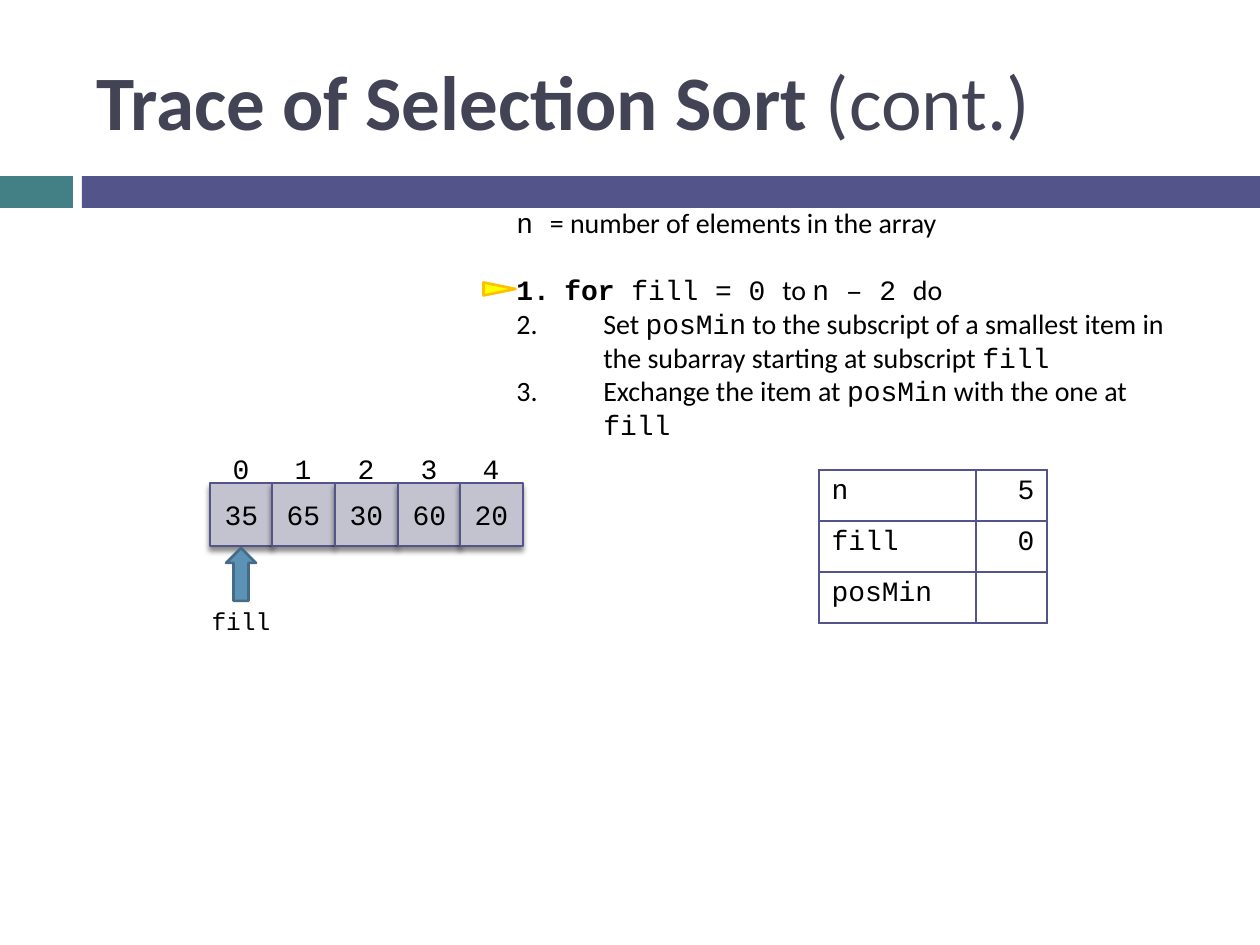
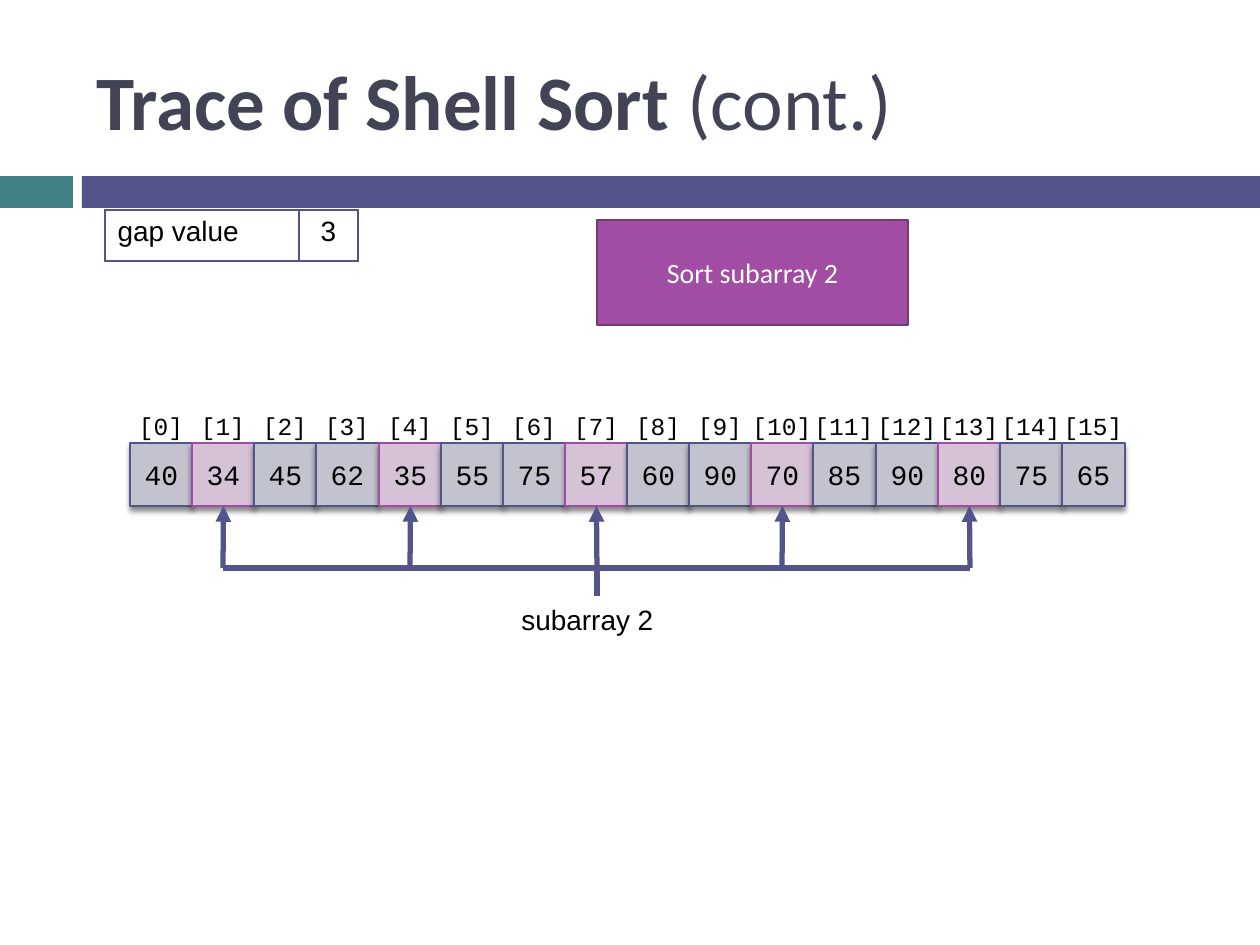
from lxml.etree import SubElement
from pptx import Presentation
from pptx.dml.color import RGBColor
from pptx.enum.shapes import MSO_CONNECTOR, MSO_SHAPE
from pptx.enum.text import MSO_ANCHOR, PP_ALIGN
from pptx.oxml.ns import qn
from pptx.util import Pt

EMU_PER_PX = 914400 / 126
SLIDE_SIZE = (1260, 945)

BLACK, WHITE = "000000", "FFFFFF"
INDIGO, TEAL, TITLE_INK = "53548A", "438086", "424456"
PURPLE, DARK_PURPLE = "A04DA3", "763979"
CELL_GREY, CELL_PINK = "C3C3CF", "D6C2D7"
BLUE, DARK_BLUE = "5C92B5", "446C86"
YELLOW, AMBER = "FFFF00", "FFC000"

BODY, CODE, PLAIN = "Calibri", "Courier New", "Arial"
CELL_SIZE = 63
LABEL_WIDTH, LABEL_RISE = 100, 38


def px(length):
    return round(length * EMU_PER_PX)


def box_emu(box):
    return [px(length) for length in box]


def color(hex_value):
    return RGBColor.from_string(hex_value)


# Text
def write(paragraph, runs, ink=BLACK, size=16, align=PP_ALIGN.LEFT):
    """Add runs given as (text, font name) or (text, font name, bold)."""
    paragraph.alignment = align
    for text, name, *bold in runs:
        run = paragraph.add_run()
        run.text = text
        formats = {"name": name, "size": Pt(size), "bold": bool(bold and bold[0])}
        for attribute, value in formats.items():
            setattr(run.font, attribute, value)
        run.font.color.rgb = color(ink)


def add_text(slide, box, runs, anchor=MSO_ANCHOR.TOP, **style):
    frame = slide.shapes.add_textbox(*box_emu(box)).text_frame
    frame.word_wrap = True
    frame.vertical_anchor = anchor
    write(frame.paragraphs[0], runs, **style)
    return frame


def number_paragraph(paragraph, indent):
    properties = paragraph._p.get_or_add_pPr()
    properties.set("marL", str(px(indent)))
    properties.set("indent", str(-px(indent)))
    SubElement(properties, qn("a:buFont"), typeface="+mj-lt")
    SubElement(properties, qn("a:buAutoNum"), type="arabicPeriod")


# Shapes and lines
def add_shape(slide, kind, box, fill, line=None, line_width=1.5):
    shape = slide.shapes.add_shape(kind, *box_emu(box))
    shape.fill.solid()
    shape.fill.fore_color.rgb = color(fill)
    if line:
        shape.line.color.rgb = color(line)
        shape.line.width = Pt(line_width)
    else:
        shape.line.fill.background()
    shape.shadow.inherit = False
    return shape


def add_label_in(shape, text, font, ink):
    frame = shape.text_frame
    frame.word_wrap = True
    frame.vertical_anchor = MSO_ANCHOR.MIDDLE
    write(frame.paragraphs[0], [(text, font)], ink=ink, align=PP_ALIGN.CENTER)


def add_drop_shadow(shape):
    effects = shape._element.spPr.find(qn("a:effectLst"))
    shadow = SubElement(effects, qn("a:outerShdw"), blurRad=str(Pt(3)),
                        dist=str(Pt(2.4)), dir="5400000", rotWithShape="0")
    ink = SubElement(shadow, qn("a:srgbClr"), val=BLACK)
    SubElement(ink, qn("a:alpha"), val="45000")


def add_line(slide, start, end, target=None):
    """Draw a line; with a target shape, point an arrow at its bottom."""
    connector = slide.shapes.add_connector(
        MSO_CONNECTOR.STRAIGHT, *box_emu(start + end))
    connector.line.color.rgb = color(INDIGO)
    connector.line.width = Pt(3)
    if target is not None:
        connector.end_connect(target, 2)
        SubElement(connector.line._get_or_add_ln(), qn("a:tailEnd"), type="triangle")
    SubElement(connector._element.spPr, qn("a:effectLst"))


# Table
def outline_cell(cell):
    properties = cell._tc.get_or_add_tcPr()
    for side in ("lnL", "lnR", "lnT", "lnB"):
        line = SubElement(properties, qn("a:" + side), w=str(Pt(1)))
        fill = SubElement(line, qn("a:solidFill"))
        SubElement(fill, qn("a:srgbClr"), val=INDIGO)
    cell.fill.background()


def add_variable_table(slide, left, top, rows, widths, font, value_align):
    row_height = 51
    box = (left, top, sum(widths), row_height * len(rows))
    table = slide.shapes.add_table(len(rows), len(widths), *box_emu(box)).table
    table.first_row = table.horz_banding = False
    for column, width in zip(table.columns, widths):
        column.width = px(width)
    for row_index, row in enumerate(rows):
        table.rows[row_index].height = px(row_height)
        for column_index, (text, align) in enumerate(
                zip(row, (PP_ALIGN.LEFT, value_align))):
            cell = table.cell(row_index, column_index)
            outline_cell(cell)
            if text:
                write(cell.text_frame.paragraphs[0], [(text, font)], align=align)


# Array of square cells with subscripts above, spread over the given width
def add_array(slide, left, top, width, values, label_format, label_size,
              highlighted=()):
    step = (width - CELL_SIZE) / (len(values) - 1)
    cells = []
    for index, value in enumerate(values):
        fill, line = (CELL_PINK, PURPLE) if index in highlighted else (CELL_GREY, INDIGO)
        cell_left = left + round(index * step)
        cell = add_shape(slide, MSO_SHAPE.RECTANGLE,
                         (cell_left, top, CELL_SIZE, CELL_SIZE), fill, line, 0.79)
        add_drop_shadow(cell)
        add_label_in(cell, str(value), CODE, BLACK)
        cells.append(cell)
        label_left = cell_left + (CELL_SIZE - LABEL_WIDTH) // 2
        add_text(slide, (label_left, top - LABEL_RISE, LABEL_WIDTH, 45),
                 [(label_format.format(index), CODE)],
                 size=label_size, align=PP_ALIGN.CENTER)
    return cells


# Bands and title shared by the slides
def add_trace_slide(presentation, algorithm):
    slide = presentation.slides.add_slide(presentation.slide_layouts[6])
    for left, width, fill in ((0, 73, TEAL), (82, 1178, INDIGO)):
        add_shape(slide, MSO_SHAPE.RECTANGLE, (left, 176, width, 32), fill)
    add_text(slide, (84, 32, 1124, 136),
             [(f"Trace of {algorithm} ", BODY, True), ("(cont.)", BODY)],
             anchor=MSO_ANCHOR.MIDDLE, ink=TITLE_INK, size=44)
    return slide


# Pseudocode with a marker beside the current step
def add_pseudocode(slide, left, top, width, height):
    frame = add_text(slide, (left, top, width, height),
                     [("n ", CODE), ("= number of elements in the array", BODY)])
    steps = [
        (48, [("for", CODE, True), (" fill = 0 ", CODE), ("to ", BODY),
              ("n – 2 ", CODE), ("do", BODY)]),
        (87, [("Set ", BODY), ("posMin", CODE),
              (" to the subscript of a smallest item in the subarray"
               " starting at subscript ", BODY), ("fill", CODE)]),
        (87, [("Exchange the item at ", BODY), ("posMin", CODE),
              (" with the one at ", BODY), ("fill", CODE)]),
    ]
    for index, (indent, runs) in enumerate(steps):
        paragraph = frame.add_paragraph()
        if index == 0:
            paragraph.space_before = Pt(19.5)
        number_paragraph(paragraph, indent)
        write(paragraph, runs)
    marker = add_shape(slide, MSO_SHAPE.ISOSCELES_TRIANGLE,
                       (left - 11, top + 74, 13, 32), YELLOW, AMBER)
    marker.rotation = 90


# Arrow and name under the cell a variable points to
def add_pointer(slide, center, top, name):
    add_shape(slide, MSO_SHAPE.UP_ARROW, (center - 15, top, 30, 53), BLUE, DARK_BLUE)
    add_text(slide, (center - 67, top + 52, 134, 43), [(name, CODE)],
             size=14, align=PP_ALIGN.CENTER)


# Bracket with an arrow to each cell of one subarray
def add_bracket(slide, cells, bar_top, caption):
    centers = [round((cell.left + cell.width / 2) / EMU_PER_PX) for cell in cells]
    for cell, center in zip(cells, centers):
        add_line(slide, (center, bar_top), (center, bar_top - 62), target=cell)
    add_line(slide, (centers[0], bar_top), (centers[-1], bar_top))
    middle = centers[len(centers) // 2]
    add_line(slide, (middle, bar_top), (middle, bar_top + 28))
    add_text(slide, (middle - 88, bar_top + 28, 394, 47), [(caption, PLAIN)])


def build_selection_sort(presentation):
    slide = add_trace_slide(presentation, "Selection Sort")
    add_pseudocode(slide, 504, 199, 703, 217)
    add_array(slide, 210, 483, 313, [35, 65, 30, 60, 20], "{}", 16)
    add_variable_table(slide, 819, 470, [("n", "5"), ("fill", "0"), ("posMin", "")],
                       (157, 71), CODE, PP_ALIGN.RIGHT)
    add_pointer(slide, 241, 548, "fill")


def build_shell_sort(presentation):
    slide = add_trace_slide(presentation, "Shell Sort")
    values = [40, 34, 45, 62, 35, 55, 75, 57, 60, 90, 70, 85, 90, 80, 75, 65]
    gap = 3
    subarray = range(1, len(values) - 1, gap)
    cells = add_array(slide, 130, 443, 995, values, "[{}]", 14, subarray)
    add_variable_table(slide, 105, 210, [("gap value", str(gap))],
                       (194, 59), PLAIN, PP_ALIGN.CENTER)
    action = add_shape(slide, MSO_SHAPE.RECTANGLE, (597, 220, 311, 105),
                       PURPLE, DARK_PURPLE)
    add_label_in(action, "Sort subarray 2", BODY, WHITE)
    add_bracket(slide, [cells[index] for index in subarray], 568, "subarray 2")


def main():
    presentation = Presentation()
    presentation.slide_width, presentation.slide_height = box_emu(SLIDE_SIZE)
    build_selection_sort(presentation)
    build_shell_sort(presentation)
    presentation.save("out.pptx")


if __name__ == "__main__":
    main()
